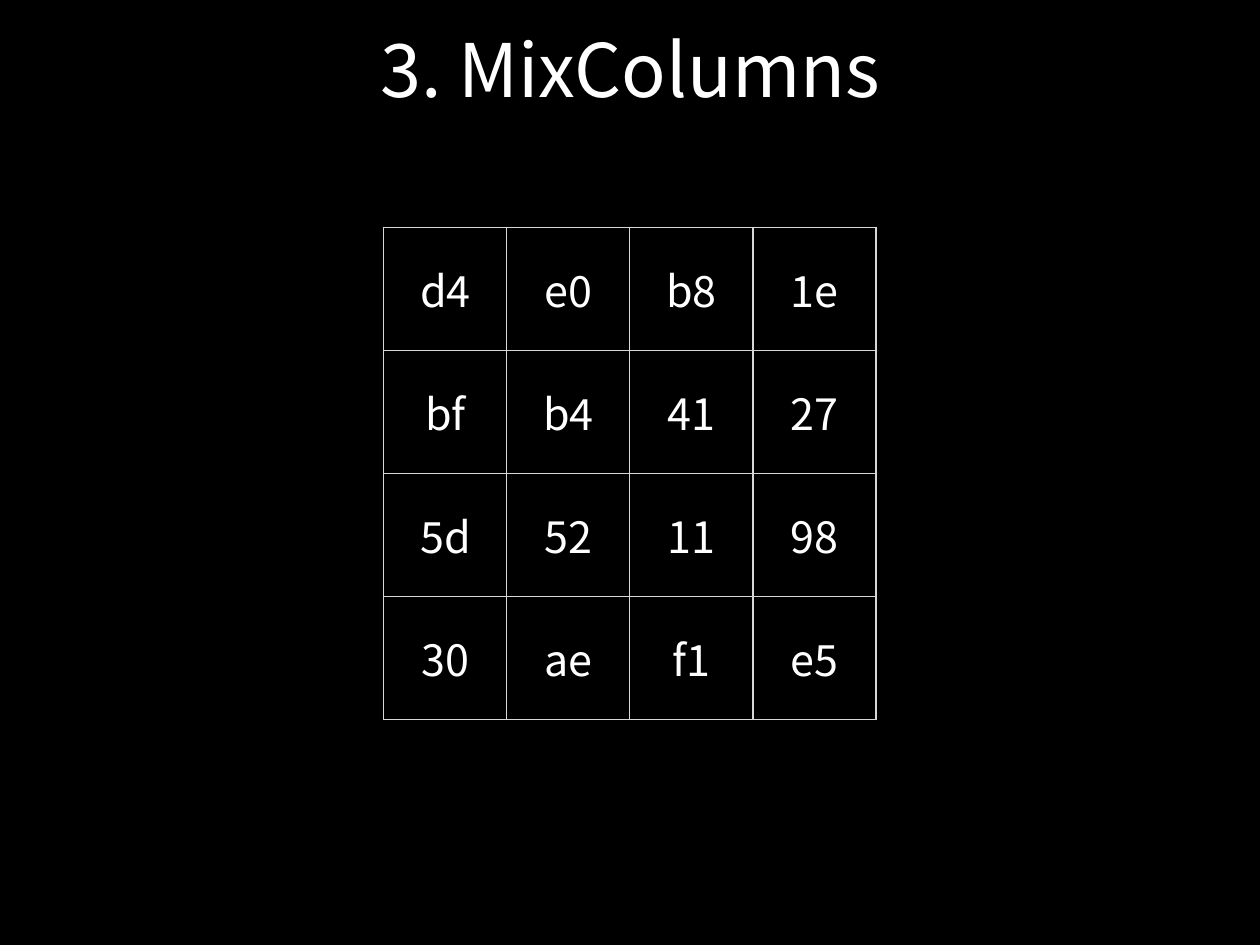
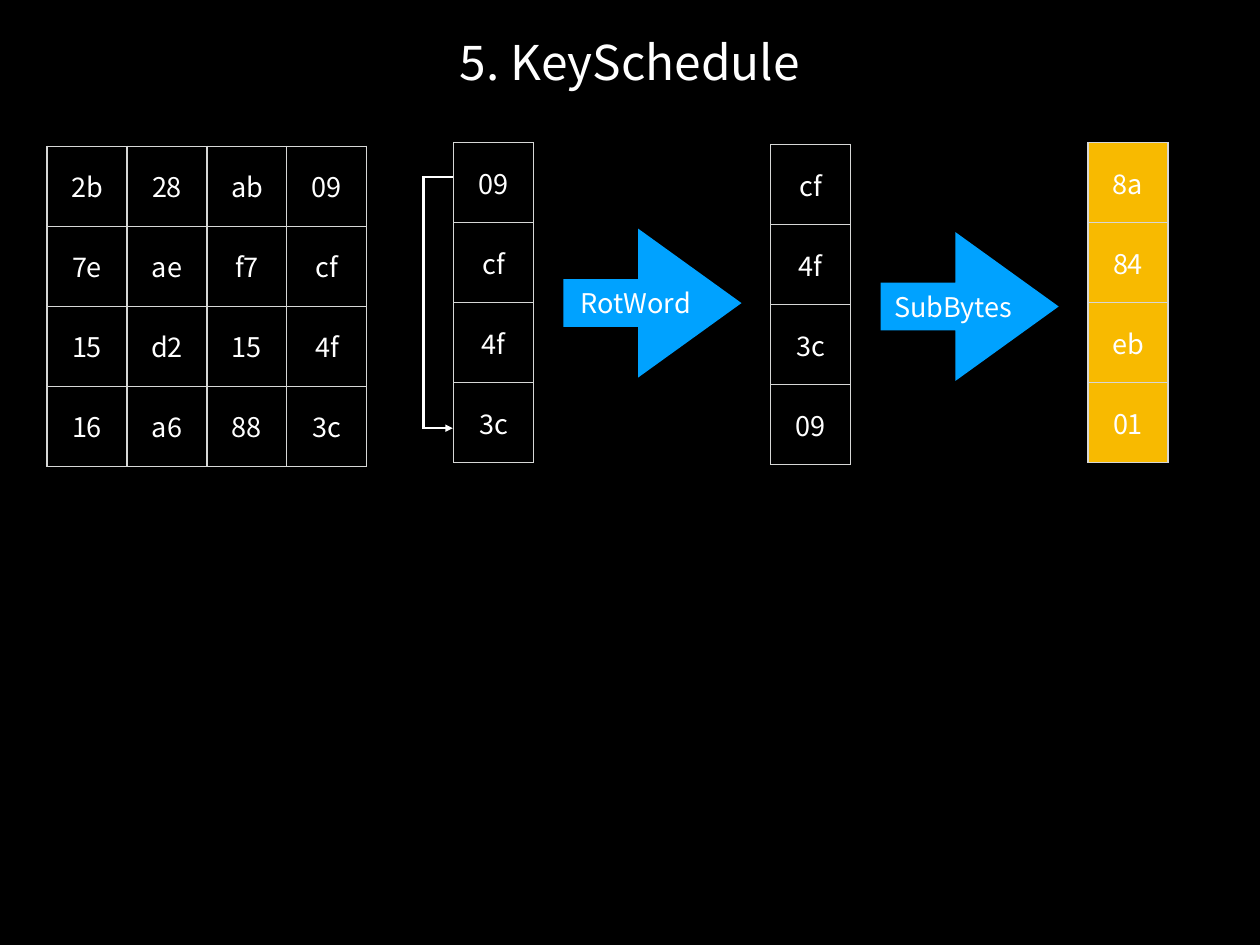
import pptx
import pptx.dml.color
import pptx.enum.shapes
import pptx.enum.text
import pptx.oxml
import pptx.oxml.ns
import pptx.util

Pt = pptx.util.Pt
FONT = "Noto Sans CJK KR"
BLACK, WHITE, GRID = "000000", "FFFFFF", "D6D7D6"
BLUE, AMBER = "00A2FF", "F8BA00"


def rgb(value):
    return pptx.dml.color.RGBColor.from_string(value)


def write(frame, text, size, color=WHITE, inset=4):
    """Put centred text into a table cell or a text frame."""
    for side in ("left", "top", "right", "bottom"):
        setattr(frame, "margin_" + side, Pt(inset))
    frame.vertical_anchor = pptx.enum.text.MSO_ANCHOR.MIDDLE
    p = getattr(frame, "text_frame", frame).paragraphs[0]
    p.alignment = pptx.enum.text.PP_ALIGN.CENTER
    r = p.add_run()
    r.text = text
    r.font.name = FONT
    r.font.size = Pt(size)
    r.font.color.rgb = rgb(color)


prs = pptx.Presentation()
prs.slide_width, prs.slide_height = Pt(1024), Pt(768)
bg = prs.slide_master.background.fill
bg.solid()
bg.fore_color.rgb = rgb(BLACK)

# Column tables and arrows on the key schedule share one horizontal step
step, column_x, arrow_x = 257.8, 368.6, 457.9

# Each table: left, top, cell side, text size, fill, rows
mix_tables = [
    (312, 184.5, 100, 35, None,
     ["d4 e0 b8 1e", "bf b4 41 27", "5d 52 11 98", "30 ae f1 e5"]),
]
key_tables = [
    (38.2, 118.8, 65, 22, None,
     ["2b 28 ab 09", "7e ae f7 cf", "15 d2 15 4f", "16 a6 88 3c"]),
    (column_x, 115.9, 65, 22, None, ["09", "cf", "4f", "3c"]),
    (column_x + step, 117.4, 65, 22, None, ["cf", "4f", "3c", "09"]),
    (column_x + 2 * step, 115.9, 65, 22, AMBER, ["8a", "84", "eb", "01"]),
]

# Titles and tables of both slides
for title, title_top, title_size, tables in (
    ("3. MixColumns", 25, 60, mix_tables),
    ("5. KeySchedule", 20, 38.9, key_tables),
):
    s = prs.slides.add_slide(prs.slide_layouts[5])
    sp = s.shapes.title
    sp.left, sp.top, sp.width, sp.height = Pt(75), Pt(title_top), Pt(874), Pt(60)
    sp.text_frame.auto_size = pptx.enum.text.MSO_AUTO_SIZE.NONE
    write(sp.text_frame, title, title_size)

    for left, top, side, size, fill, lines in tables:
        rows = [line.split() for line in lines]
        width, height = side * len(rows[0]), side * len(rows)
        table = s.shapes.add_table(len(rows), len(rows[0]), Pt(left), Pt(top),
                                   Pt(width), Pt(height)).table
        table.first_row = table.horz_banding = False
        for i, row in enumerate(rows):
            for j, text in enumerate(row):
                cell = table.cell(i, j)
                write(cell, text, size)
                tc_pr = cell._tc.get_or_add_tcPr()
                for edge in "LRTB":
                    tc_pr.append(pptx.oxml.parse_xml(
                        f'<a:ln{edge} {pptx.oxml.ns.nsdecls("a")} w="12700"><a:solidFill>'
                        f'<a:srgbClr val="{GRID}"/></a:solidFill></a:ln{edge}>'))
                if fill:
                    cell.fill.solid()
                    cell.fill.fore_color.rgb = rgb(fill)
                else:
                    cell.fill.background()

# Bracket from the first byte of the word to the last, on the key schedule
bracket_x, bracket_end, bracket_top, bracket_bottom = 344, 368, 144, 348
for x1, y1, x2, y2, has_head in (
    (bracket_x - 1, bracket_top, bracket_end, bracket_top, False),
    (bracket_x, bracket_bottom, bracket_x, bracket_top, False),
    (bracket_x - 1, bracket_bottom, bracket_end, bracket_bottom, True),
):
    line = s.shapes.add_connector(pptx.enum.shapes.MSO_CONNECTOR.STRAIGHT,
                                  Pt(x1), Pt(y1), Pt(x2), Pt(y2))
    line.line.color.rgb = rgb(WHITE)
    line.line.width = Pt(2)
    if has_head:
        line.line._get_or_add_ln().append(pptx.oxml.parse_xml(
            f'<a:tailEnd {pptx.oxml.ns.nsdecls("a")} type="triangle"/>'))
    line._element.spPr.append(pptx.oxml.parse_xml(
        f'<a:effectLst {pptx.oxml.ns.nsdecls("a")}/>'))

# Arrows between the columns
for i, (text, top) in enumerate((("RotWord", 185.8), ("SubBytes", 188.6))):
    sp = s.shapes.add_shape(pptx.enum.shapes.MSO_SHAPE.RIGHT_ARROW,
                            Pt(arrow_x + i * step), Pt(top), Pt(144.7), Pt(121))
    sp.adjustments[0], sp.adjustments[1] = 0.32, 0.694
    sp.shadow.inherit = False
    sp.fill.solid()
    sp.fill.fore_color.rgb = rgb(BLUE)
    sp.line.fill.background()
    write(sp.text_frame, text, 22)

prs.save("out.pptx")
